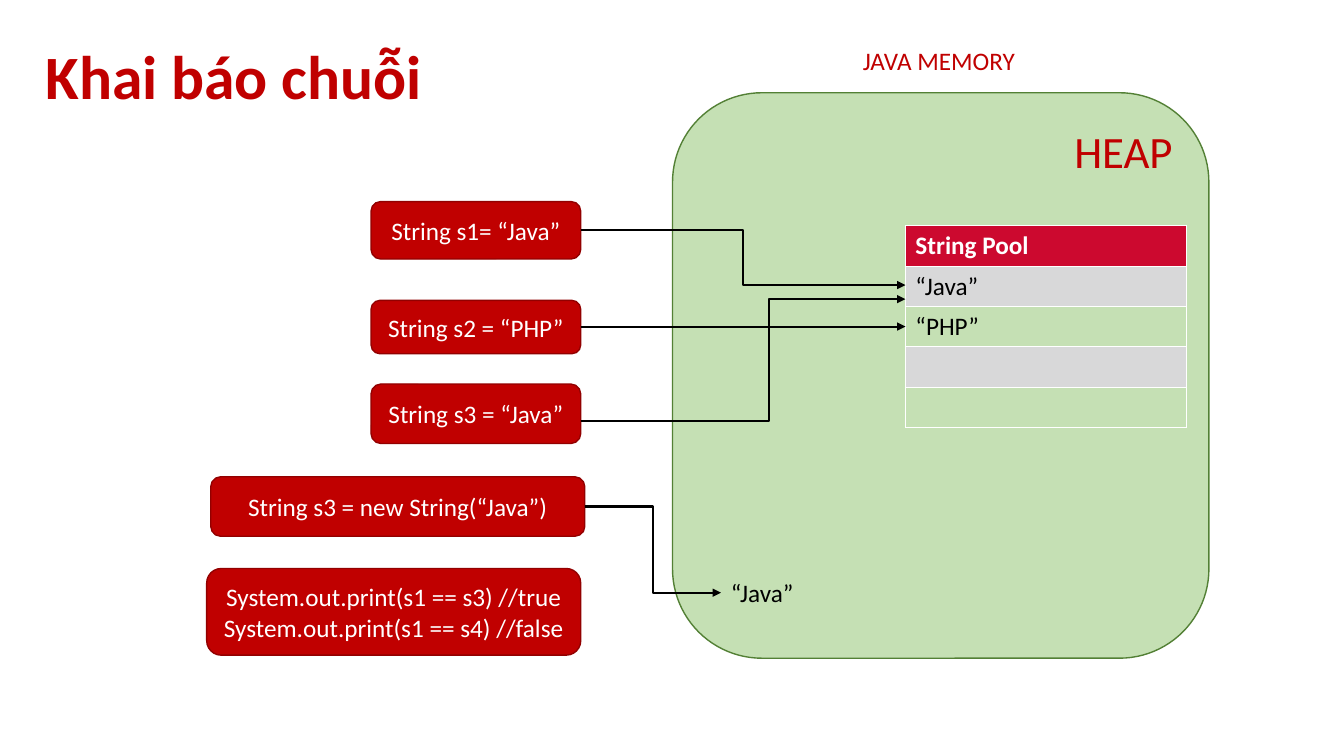
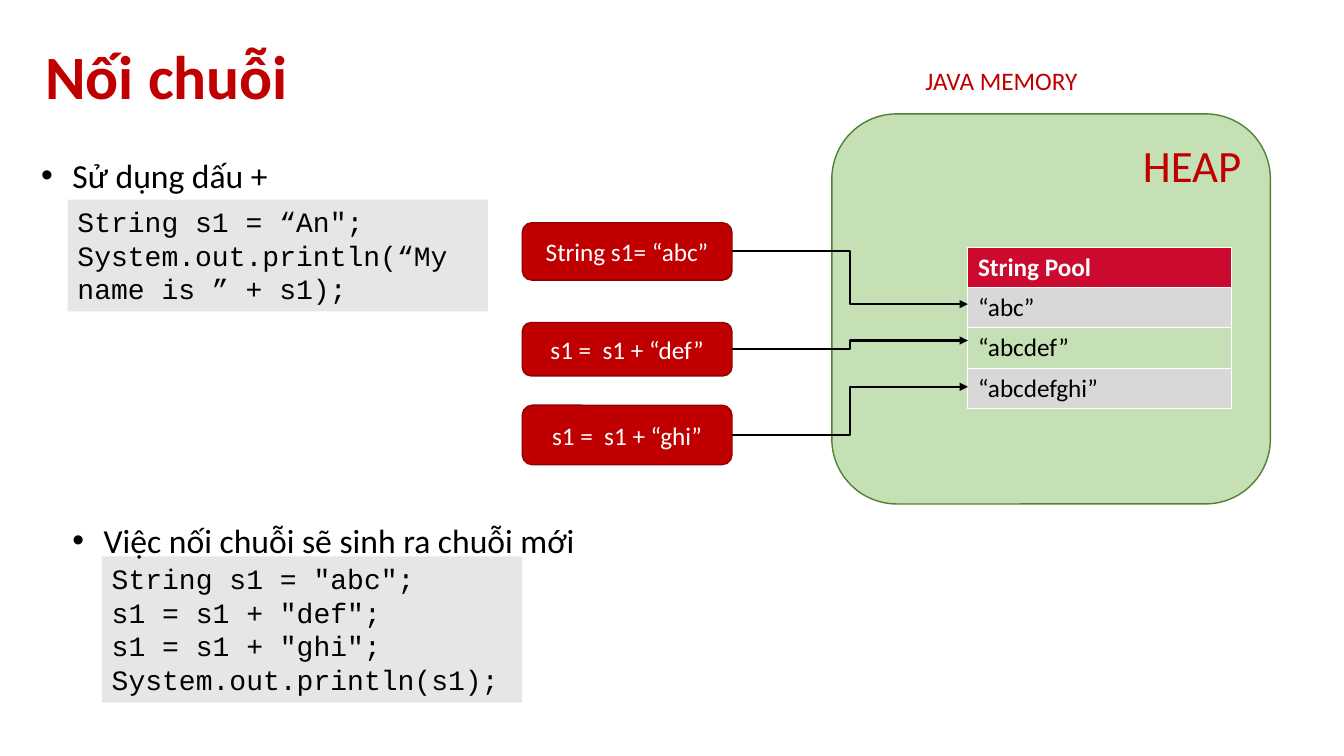
from dataclasses import dataclass

from lxml import etree
from pptx import Presentation
from pptx.dml.color import RGBColor
from pptx.enum.shapes import MSO_CONNECTOR, MSO_SHAPE
from pptx.enum.text import MSO_ANCHOR, MSO_AUTO_SIZE, PP_ALIGN
from pptx.oxml.ns import qn
from pptx.util import Inches, Pt

ELBOW = MSO_CONNECTOR.ELBOW
ROUNDED, RECTANGLE = MSO_SHAPE.ROUNDED_RECTANGLE, MSO_SHAPE.RECTANGLE
TOP, MIDDLE = MSO_ANCHOR.TOP, MSO_ANCHOR.MIDDLE
LEFT, CENTER, RIGHT = PP_ALIGN.LEFT, PP_ALIGN.CENTER, PP_ALIGN.RIGHT
FIT_SHAPE, NO_FIT = MSO_AUTO_SIZE.SHAPE_TO_FIT_TEXT, MSO_AUTO_SIZE.NONE
TITLE_ONLY = 5


@dataclass(frozen=True)
class Theme:
    font: str = "Calibri"
    code_font: str = "Courier New"
    red: str = "C00000"
    red_edge: str = "920000"
    green: str = "C5E0B4"
    green_edge: str = "538035"
    header: str = "CC092F"
    band: str = "D8D8D9"
    code_fill: str = "E7E6E6"
    white: str = "FFFFFF"
    black: str = "000000"
    title_size: int = 44
    heap_size: int = 32
    bullet_size: int = 24
    code_size: int = 20
    body_size: int = 18


THEME = Theme()
SLIDE_SIZE = (13.33, 7.5)
TITLE_AREA = (0.45, 0.6, 12.43, 0.4)
ROW_HEIGHT = 0.4
BULLET_INDENT = 0.31
NARROW, WIDE = 2.08, 3.71

# Areas are left, top, width, height in inches.
# A statement is: lines, right edge, top, width, height, arrow.
# An arrow is: exit (share of box height), target, bend (share of its width).
# The target is a depth in pool rows, or "object" for the heap object.
SLIDES = [
    {
        "title": "Khai báo chuỗi",
        "memory": (8.46, 0.4, 1.72, 0.4),
        "heap": (6.67, 0.92, 5.32, 5.61),
        "pool": (8.98, 2.24, 2.79),
        "strings": ["“Java”", "“PHP”", "", ""],
        "object": ("“Java”", (7.15, 5.68, 0.83, 0.4)),
        "statements": [
            (["String s1= “Java”"], 5.76, 2, NARROW, 0.57, (0.5, 1.47, 0.5)),
            (["String s2 = “PHP”"], 5.76, 2.98, NARROW, 0.53, (0.5, 2.5, 0.5)),
            (["String s3 = “Java”"], 5.76, 3.81, NARROW, 0.59, (0.62, 1.82, 0.58)),
            (["String s3 = new String(“Java”)"], 5.8, 4.73, WIDE, 0.59,
             (0.5, "object", 0.5)),
            (["System.out.print(s1 == s3) //true",
              "System.out.print(s1 == s4) //false"], 5.76, 5.64, WIDE, 0.86, None),
        ],
        "code": [],
        "bullets": [],
    },
    {
        "title": "Nối chuỗi",
        "memory": (9.08, 0.6, 1.72, 0.4),
        "heap": (8.25, 1.13, 4.35, 3.87),
        "pool": (9.6, 2.45, 2.61),
        "strings": ["“abc”", "“abcdef”", "“abcdefghi”"],
        "object": None,
        "statements": [
            (["String s1= “abc”"], 7.26, 2.21, NARROW, 0.57, (0.5, 1.42, 0.5)),
            (["s1 =  s1 + “def”"], 7.26, 3.2, NARROW, 0.53, (0.5, 2.32, 0.5)),
            (["s1 =  s1 + “ghi”"], 7.26, 4.02, NARROW, 0.59, (0.5, 3.47, 0.5)),
        ],
        "code": [
            (["String s1 = “An\";", "System.out.println(“My name is ” + s1);"],
             (0.67, 1.98, 4.17, 1.11)),
            (["String s1 = \"abc\";", "s1 = s1 + \"def\";", "s1 = s1 + \"ghi\";",
              "System.out.println(s1);"], (1.01, 5.52, 4.17, 1.45)),
        ],
        "bullets": [
            ("Sử dụng dấu +", (0.31, 1.09, 5.43, 0.8)),
            ("Việc nối chuỗi sẽ sinh ra chuỗi mới", (0.62, 4.71, 5.43, 0.91)),
        ],
    },
]


def inches(values):
    return [Inches(value) for value in values]


def rgb(value):
    return RGBColor.from_string(value)


# Text
def write(frame, lines, size, color, align=LEFT, anchor=TOP, bold=False,
          font=THEME.font):
    frame.vertical_anchor = anchor
    for index, line in enumerate(lines):
        para = frame.add_paragraph() if index else frame.paragraphs[0]
        para.text = line
        para.alignment = align
        para.font.name = font
        para.font.size = Pt(size)
        para.font.bold = bold
        para.font.color.rgb = rgb(color)


def add_label(page, text, area, color, size=THEME.body_size, wrap=False):
    label = page.shapes.add_textbox(*inches(area))
    frame = label.text_frame
    frame.word_wrap = wrap
    frame.auto_size = FIT_SHAPE
    write(frame, [text], size, color)
    return frame.paragraphs[0]


def add_bullet(page, text, area):
    para = add_label(page, text, area, THEME.black, THEME.bullet_size, wrap=True)
    para.line_spacing = 2.0
    properties = para._p.get_or_add_pPr()
    properties.set("marL", str(Inches(BULLET_INDENT)))
    properties.set("indent", str(-Inches(BULLET_INDENT)))
    etree.SubElement(properties, qn("a:buFont")).set("typeface", "Arial")
    etree.SubElement(properties, qn("a:buChar")).set("char", "•")


def set_title(page, text):
    title = page.shapes.title
    title.left, title.top, title.width, title.height = inches(TITLE_AREA)
    frame = title.text_frame
    frame.margin_left = frame.margin_right = 0
    frame.margin_top = frame.margin_bottom = 0
    frame.word_wrap = True
    frame.auto_size = NO_FIT
    write(frame, [text], THEME.title_size, THEME.red, anchor=MIDDLE, bold=True)
    frame.paragraphs[0].line_spacing = 0.85


# Boxes
def add_box(page, kind, area, fill, edge=None):
    box = page.shapes.add_shape(kind, *inches(area))
    box.shadow.inherit = False
    box.fill.solid()
    box.fill.fore_color.rgb = rgb(fill)
    if edge:
        box.line.color.rgb = rgb(edge)
        box.line.width = Pt(1)
    else:
        box.line.fill.background()
    box.text_frame.word_wrap = True
    return box.text_frame


# String pool table
def set_borders(cell):
    properties = cell._tc.get_or_add_tcPr()
    for index, side in enumerate(("a:lnL", "a:lnR", "a:lnT", "a:lnB")):
        line = etree.Element(qn(side), w=str(Pt(0.75)))
        fill = etree.SubElement(line, qn("a:solidFill"))
        etree.SubElement(fill, qn("a:srgbClr")).set("val", THEME.white)
        properties.insert(index, line)


def add_pool(page, place, strings):
    left, top, width = place
    rows = ["String Pool"] + strings
    area = inches((left, top, width, ROW_HEIGHT * len(rows)))
    table = page.shapes.add_table(len(rows), 1, *area).table
    table.horz_banding = False
    for index, text in enumerate(rows):
        cell = table.cell(index, 0)
        is_header = index == 0
        if is_header or index % 2:
            cell.fill.solid()
            cell.fill.fore_color.rgb = rgb(THEME.header if is_header else THEME.band)
        else:
            cell.fill.background()
        color = THEME.white if is_header else THEME.black
        write(cell.text_frame, [text], THEME.body_size, color, bold=is_header)
        set_borders(cell)


# Elbow arrows
def add_arrow(page, start, end, bend):
    arrow = page.shapes.add_connector(ELBOW, *inches(start + end))
    arrow.line.color.rgb = rgb(THEME.black)
    arrow.line.width = Pt(1.5)
    etree.SubElement(arrow.line._get_or_add_ln(), qn("a:tailEnd")).set(
        "type", "triangle")
    properties = arrow._element.spPr
    etree.SubElement(properties, qn("a:effectLst"))
    guides = properties.find(qn("a:prstGeom")).get_or_add_avLst()
    etree.SubElement(guides, qn("a:gd"), name="adj1",
                     fmla=f"val {round(bend * 100000)}")


def add_statement(page, content, statement):
    lines, right, top, width, height, arrow = statement
    frame = add_box(page, ROUNDED, (right - width, top, width, height),
                    THEME.red, THEME.red_edge)
    write(frame, lines, THEME.body_size, THEME.white, CENTER, MIDDLE)
    if arrow is None:
        return
    leave, target, bend = arrow
    if target == "object":
        left, object_top, _, object_height = content["object"][1]
        end = (left, object_top + object_height / 2)
    else:
        left, pool_top, _ = content["pool"]
        end = (left, pool_top + target * ROW_HEIGHT)
    add_arrow(page, (right, top + leave * height), end, bend)


def build_slide(deck, content):
    page = deck.slides.add_slide(deck.slide_layouts[TITLE_ONLY])
    set_title(page, content["title"])
    heap = add_box(page, ROUNDED, content["heap"], THEME.green, THEME.green_edge)
    write(heap, ["HEAP"], THEME.heap_size, THEME.red, RIGHT)
    add_label(page, "JAVA MEMORY", content["memory"], THEME.red)
    add_pool(page, content["pool"], content["strings"])
    if content["object"]:
        add_label(page, *content["object"], THEME.black)
    for statement in content["statements"]:
        add_statement(page, content, statement)
    for lines, area in content["code"]:
        frame = add_box(page, RECTANGLE, area, THEME.code_fill)
        frame.auto_size = FIT_SHAPE
        write(frame, lines, THEME.code_size, THEME.black, font=THEME.code_font)
    for text, area in content["bullets"]:
        add_bullet(page, text, area)


def main():
    deck = Presentation()
    deck.slide_width, deck.slide_height = inches(SLIDE_SIZE)
    for content in SLIDES:
        build_slide(deck, content)
    deck.save("out.pptx")


if __name__ == "__main__":
    main()
